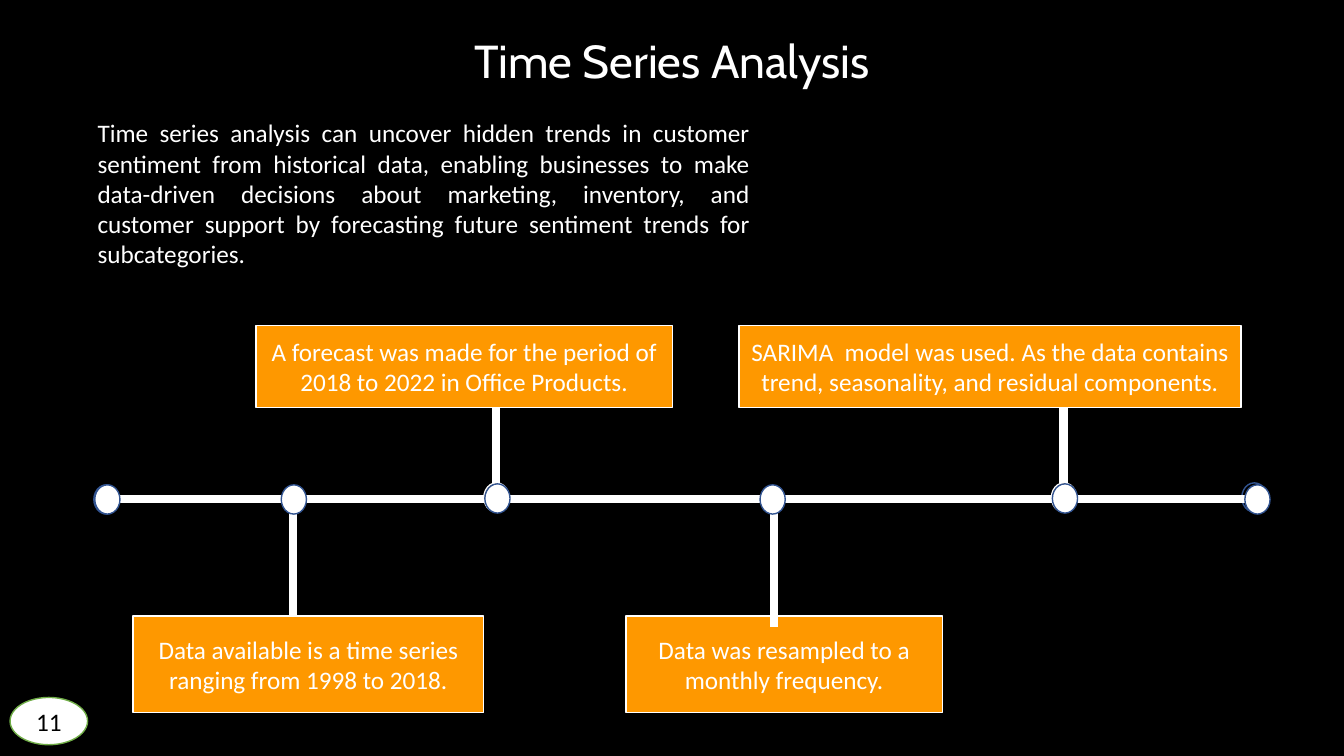
"""Build the time series analysis timeline slide."""
from lxml.etree import SubElement
from pptx import Presentation
from pptx.dml.color import RGBColor
from pptx.enum.shapes import MSO_CONNECTOR, MSO_SHAPE
from pptx.enum.text import MSO_ANCHOR, MSO_AUTO_SIZE, PP_ALIGN
from pptx.oxml.ns import qn
from pptx.util import Pt

BLACK = RGBColor(0x00, 0x00, 0x00)
WHITE = RGBColor(0xFF, 0xFF, 0xFF)
ORANGE = RGBColor(0xFE, 0x98, 0x00)
BLUE = RGBColor(0x32, 0x54, 0x91)
GREEN = RGBColor(0x70, 0xAD, 0x47)

AXIS_Y = 356.4
DOT_W, DOT_H = 18, 20.9
UPPER = (232.6, 58.3)
LOWER = (440, 69.1)


class Deck:
    def __init__(self, prs, font="Calibri", size=18):
        self.font, self.size = font, size
        self.s = prs.slides.add_slide(prs.slide_layouts[5])
        self.s.background.fill.solid()
        self.s.background.fill.fore_color.rgb = BLACK

    def set_text(self, sp, text, color=WHITE, align=PP_ALIGN.CENTER,
                 anchor=MSO_ANCHOR.MIDDLE, font=None, size=None):
        tf = sp.text_frame
        tf.word_wrap = True
        tf.auto_size = MSO_AUTO_SIZE.NONE
        tf.vertical_anchor = anchor
        p = tf.paragraphs[0]
        p.alignment = align
        r = p.add_run()
        r.text = text
        r.font.name = font or self.font
        r.font.size = Pt(size or self.size)
        r.font.color.rgb = color

    def title(self, text, x, y, w, h):
        sp = self.s.shapes.title
        sp.left, sp.top, sp.width, sp.height = Pt(x), Pt(y), Pt(w), Pt(h)
        self.set_text(sp, text, font="Cabin", size=33)

    def paragraph(self, text, x, y, w, h):
        sp = self.s.shapes.add_textbox(Pt(x), Pt(y), Pt(w), Pt(h))
        self.set_text(sp, text, align=PP_ALIGN.JUSTIFY, anchor=MSO_ANCHOR.TOP)

    def shape(self, kind, x, y, w, h, fill, line):
        sp = self.s.shapes.add_shape(kind, Pt(x), Pt(y), Pt(w), Pt(h))
        sp.shadow.inherit = False
        sp.fill.solid()
        sp.fill.fore_color.rgb = fill
        sp.line.color.rgb = line
        sp.line.width = Pt(1)
        return sp

    def box(self, text, x, w, row):
        y, h = row
        sp = self.shape(MSO_SHAPE.RECTANGLE, x, y, w, h, ORANGE, WHITE)
        self.set_text(sp, text)

    def dot(self, x, y, fill=WHITE, line=BLUE):
        self.shape(MSO_SHAPE.OVAL, x, y, DOT_W, DOT_H, fill, line)

    def badge(self, text, x, y, w, h):
        sp = self.shape(MSO_SHAPE.OVAL, x, y, w, h, WHITE, GREEN)
        self.set_text(sp, text, color=BLACK)

    def line(self, x1, y1, x2, y2):
        sp = self.s.shapes.add_connector(
            MSO_CONNECTOR.STRAIGHT, Pt(x1), Pt(y1), Pt(x2), Pt(y2))
        sp.line.color.rgb = WHITE
        sp.line.width = Pt(6)
        SubElement(sp._element.spPr, qn("a:effectLst"))

    def stem(self, x, y):
        self.line(x, AXIS_Y, x, y)


def main():
    prs = Presentation()
    prs.slide_width, prs.slide_height = Pt(960), Pt(540)
    d = Deck(prs)
    d.title("Time Series Analysis", 314.6, 20.2, 330.5, 45.4)
    d.paragraph(
        "Time series analysis can uncover hidden trends in customer sentiment "
        "from historical data, enabling businesses to make data-driven "
        "decisions about marketing, inventory, and customer support by "
        "forecasting future sentiment trends for subcategories.",
        62.6, 80.6, 480.2, 116.6)

    for x in (354.2, 759.6):
        d.stem(x, 281.5)
    for x, y in ((887, 344.9), (67, 346.3)):
        d.dot(x, y, BLACK)
    d.line(74.2, AXIS_Y, 896.4, AXIS_Y)
    d.stem(209.5, 459.4)

    for text, x, w, row in (
        ("Data available is a time series ranging from 1998 to 2018.",
         95, 250.6, LOWER),
        ("A forecast was made for the period of 2018 to 2022 in Office "
         "Products.", 182.9, 297.4, UPPER),
        ("SARIMA  model was used. As the data contains trend, seasonality, "
         "and residual components.", 527.8, 358.6, UPPER),
        ("Data was resampled to a monthly frequency.", 447.1, 226.1, LOWER),
    ):
        d.box(text, x, w, row)

    for x in (751, 345.6):
        d.dot(x, 344.9, ORANGE, WHITE)
    d.stem(553, 447.8)
    for x, y in ((542.9, 346.3), (200.9, 346.3), (346.3, 345.6),
                 (751.7, 345.6), (67.7, 346.3), (889.2, 346.3)):
        d.dot(x, y)
    d.badge("11", 7.2, 498.2, 55.4, 33.8)
    prs.save("out.pptx")


if __name__ == "__main__":
    main()
